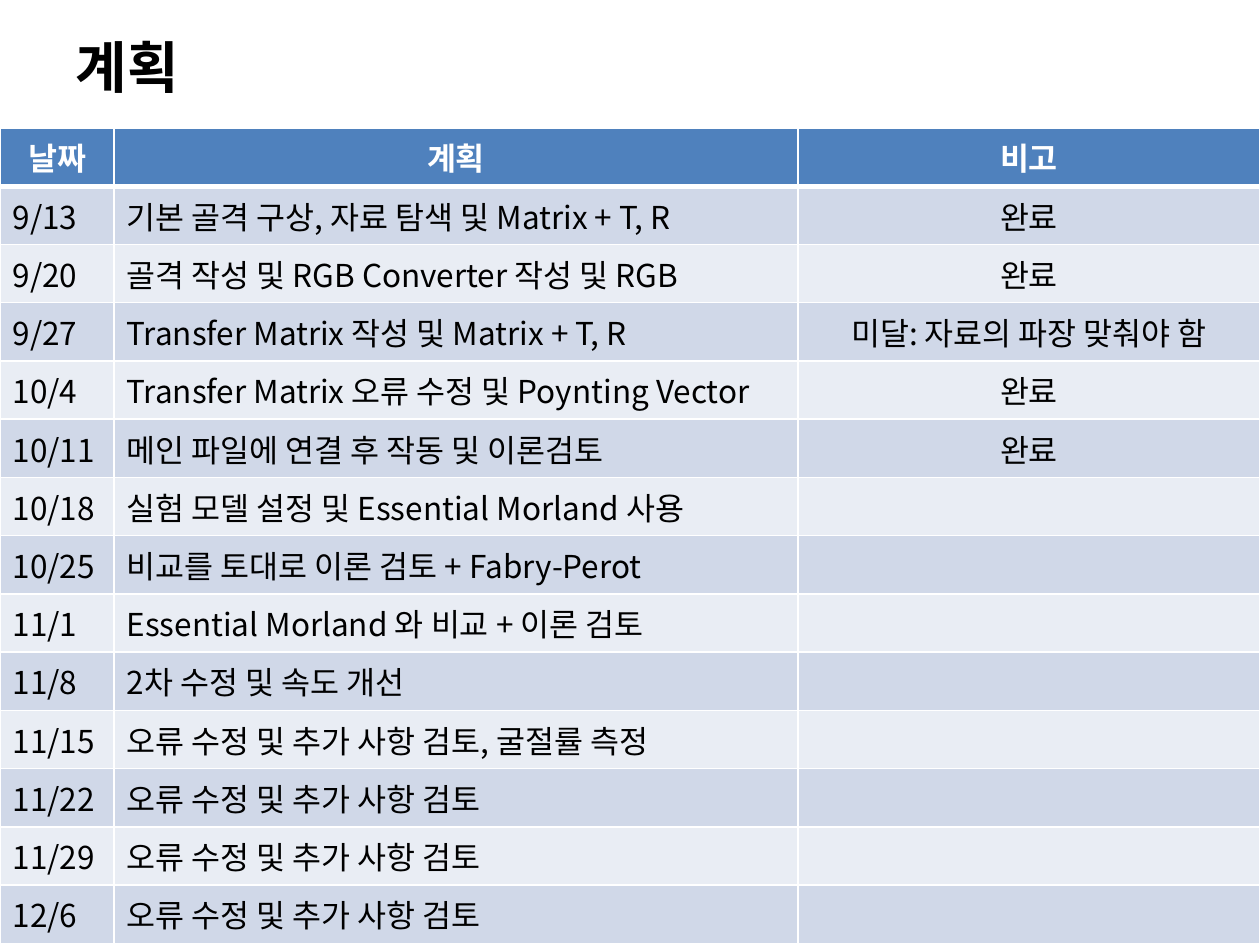
"""Build a one-slide project schedule with a title and a dated plan table."""
from lxml.etree import SubElement
from pptx import Presentation
from pptx.dml.color import RGBColor
from pptx.enum.text import MSO_ANCHOR, PP_ALIGN
from pptx.oxml.ns import qn
from pptx.util import Emu, Pt

EMU_PER_PX = 914400 // 126
FONT = "Noto Sans CJK KR"
BLACK, WHITE = "000000", "FFFFFF"
HEADER_FILL = "4F81BD"
BAND_FILLS = ("D0D8E8", "E9EDF4")
COLUMN_WIDTHS = (114, 684, 462)
TABLE_HEIGHT = 816
HEADERS = ("날짜", "계획", "비고")
REVIEW = "오류 수정 및 추가 사항 검토"
DONE = "완료"
PLAN = (
    ("9/13", "기본 골격 구상, 자료 탐색 및 Matrix + T, R", DONE),
    ("9/20", "골격 작성 및 RGB Converter 작성 및 RGB", DONE),
    ("9/27", "Transfer Matrix 작성 및 Matrix + T, R", "미달: 자료의 파장 맞춰야 함"),
    ("10/4", "Transfer Matrix 오류 수정 및 Poynting Vector", DONE),
    ("10/11", "메인 파일에 연결 후 작동 및 이론검토", DONE),
    ("10/18", "실험 모델 설정 및 Essential Morland 사용", ""),
    ("10/25", "비교를 토대로 이론 검토 + Fabry-Perot", ""),
    ("11/1", "Essential Morland 와 비교 + 이론 검토", ""),
    ("11/8", "2차 수정 및 속도 개선", ""),
    ("11/15", f"{REVIEW}, 굴절률 측정", ""),
    *((date, REVIEW, "") for date in ("11/22", "11/29", "12/6")),
)


def px(length):
    """Convert pixels to EMU."""
    return Emu(length * EMU_PER_PX)


def color(hex_value):
    """Return the colour for a hex string."""
    return RGBColor.from_string(hex_value)


def write_text(text_frame, text, size=18, hex_color=BLACK, bold=False, align=PP_ALIGN.LEFT):
    """Write one formatted paragraph into a text frame."""
    paragraph = text_frame.paragraphs[0]
    paragraph.alignment = align
    paragraph.font.size = Pt(size)
    if not text:
        return
    run = paragraph.add_run()
    run.text = text
    run.font.size = Pt(size)
    run.font.bold = bold
    run.font.color.rgb = color(hex_color)
    run.font.name = FONT


def add_title(slide, text, left, top, width, height):
    """Add the slide title."""
    shape = slide.shapes.add_textbox(px(left), px(top), px(width), px(height))
    shape.text_frame.word_wrap = True
    shape.text_frame.vertical_anchor = MSO_ANCHOR.MIDDLE
    write_text(shape.text_frame, text, size=32, bold=True, align=PP_ALIGN.CENTER)


def set_borders(cell, top=1, bottom=1):
    """Draw white borders of the given point widths around a cell."""
    properties = cell._tc.get_or_add_tcPr()
    for side, width in (("L", 1), ("R", 1), ("T", top), ("B", bottom)):
        line = SubElement(properties, qn(f"a:ln{side}"), w=str(Pt(width)))
        fill = SubElement(line, qn("a:solidFill"))
        SubElement(fill, qn("a:srgbClr"), val=WHITE)


def format_cell(cell, text, row, column):
    """Fill, border and write one cell by its place in the table."""
    is_header = row == 0
    set_borders(cell, top=3 if row == 1 else 1, bottom=3 if is_header else 1)
    cell.fill.solid()
    cell.fill.fore_color.rgb = color(HEADER_FILL if is_header else BAND_FILLS[(row - 1) % 2])
    centered = is_header or column == len(HEADERS) - 1
    write_text(cell.text_frame, text, hex_color=WHITE if is_header else BLACK, bold=is_header,
               align=PP_ALIGN.CENTER if centered else PP_ALIGN.LEFT)


def add_plan_table(slide, left, top):
    """Add the schedule table with equal row heights."""
    rows = (HEADERS, *PLAN)
    table = slide.shapes.add_table(len(rows), len(HEADERS), px(left), px(top),
                                   px(sum(COLUMN_WIDTHS)), px(TABLE_HEIGHT)).table
    for column, width in zip(table.columns, COLUMN_WIDTHS):
        column.width = px(width)
    for row, texts in enumerate(rows):
        table.rows[row].height = Emu(px(TABLE_HEIGHT) // len(rows))
        for column, text in enumerate(texts):
            format_cell(table.cell(row, column), text, row, column)


def main():
    """Build and save the presentation."""
    presentation = Presentation()
    presentation.slide_width, presentation.slide_height = px(1260), px(945)
    slide = presentation.slides.add_slide(presentation.slide_layouts[6])
    add_title(slide, "계획", 36, 23, 183, 86)
    add_plan_table(slide, 0, 128)
    presentation.save("out.pptx")


if __name__ == "__main__":
    main()
